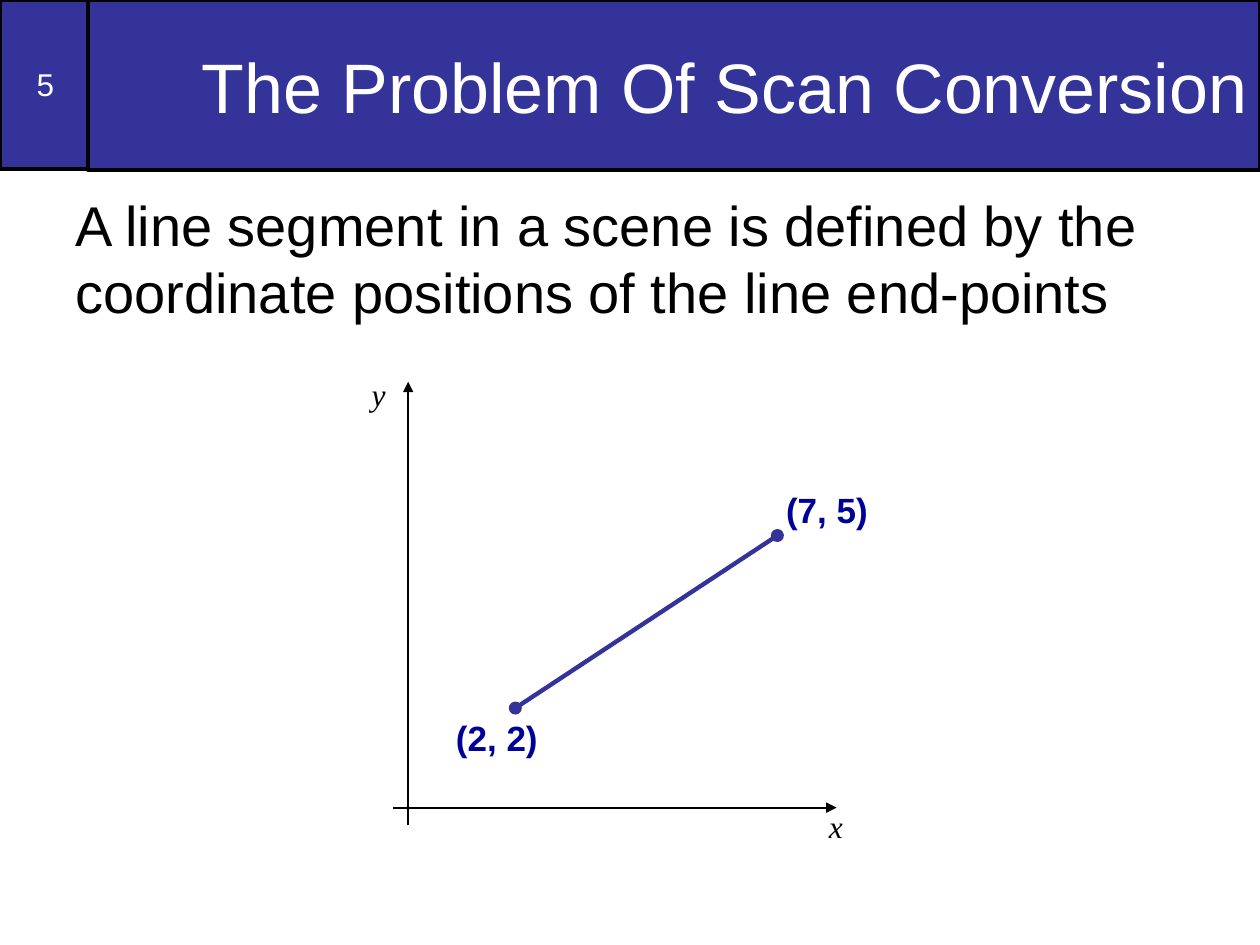
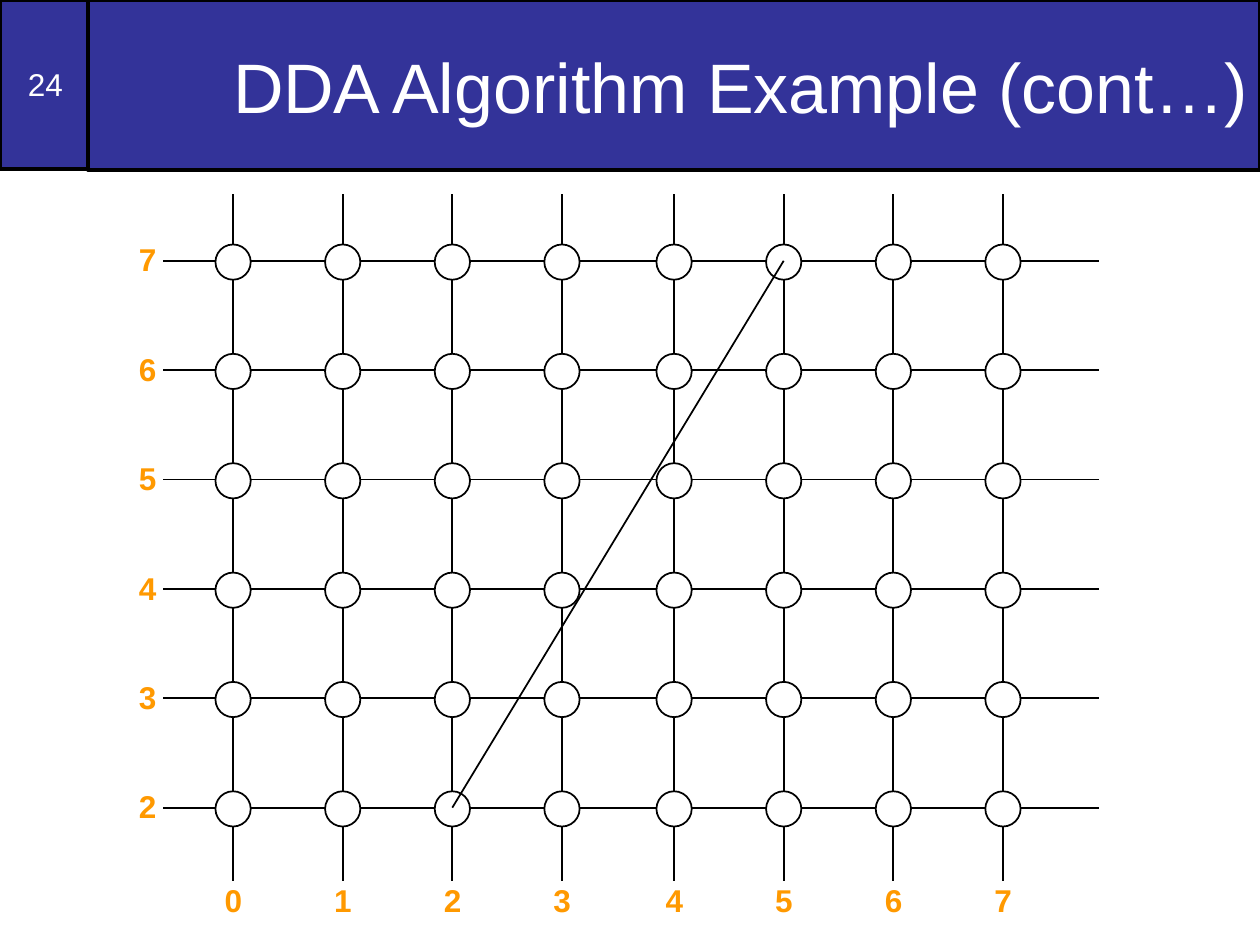
from lxml import etree
from pptx import Presentation
from pptx.dml.color import RGBColor
from pptx.enum.shapes import MSO_CONNECTOR, MSO_SHAPE
from pptx.enum.text import MSO_ANCHOR, MSO_AUTO_SIZE, PP_ALIGN
from pptx.oxml.ns import qn
from pptx.util import Inches, Pt

RECTANGLE = MSO_SHAPE.RECTANGLE
OVAL = MSO_SHAPE.OVAL
STRAIGHT = MSO_CONNECTOR.STRAIGHT
LEFT, CENTER, RIGHT = PP_ALIGN.LEFT, PP_ALIGN.CENTER, PP_ALIGN.RIGHT
TOP, MIDDLE = MSO_ANCHOR.TOP, MSO_ANCHOR.MIDDLE
NO_FIT, FIT_SHAPE = MSO_AUTO_SIZE.NONE, MSO_AUTO_SIZE.SHAPE_TO_FIT_TEXT

BLUE = "333399"
NAVY = "000099"
ORANGE = "FF9900"
BLACK = "000000"
WHITE = "FFFFFF"
SANS = "Arial"
SERIF = "Times New Roman"
TITLE_ONLY = 5

COLUMN_COUNT = 8
FIRST_ROW, LAST_ROW = 2, 7
COLUMN_STEP = 0.87
ROW_STEP = (6.41 - 2.07) / (LAST_ROW - FIRST_ROW)
CIRCLE_SIZE = 0.28


def rgb(color):
    return RGBColor.from_string(color)


class Deck:
    def __init__(self):
        self.presentation = Presentation()
        self.presentation.slide_width = Inches(10)
        self.presentation.slide_height = Inches(7.5)
        self.slide = None

    def add_slide(self, number, title_text):
        layout = self.presentation.slide_layouts[TITLE_ONLY]
        self.slide = self.presentation.slides.add_slide(layout)
        title = self.slide.shapes.title
        title.left, title.top = Inches(0.7), Inches(0)
        title.width, title.height = Inches(9.3), Inches(1.35)
        self.paint(title, BLUE, 2)
        self.add_run(title, title_text, 40, WHITE, align=RIGHT, anchor=MIDDLE)
        box = self.shape(RECTANGLE, 0, 0, 0.72, 1.34, BLUE, 2)
        paragraph = self.add_run(box, number, 18, WHITE, align=CENTER, anchor=MIDDLE)
        paragraph.space_before = Pt(11.2)
        title.element.addprevious(box.element)

    def paint(self, shape, fill, line_width):
        shape.fill.solid()
        shape.fill.fore_color.rgb = rgb(fill)
        shape.line.color.rgb = rgb(BLACK)
        shape.line.width = Pt(line_width)

    def add_run(self, shape, text, size, color, font=SANS, bold=False, italic=False,
                align=LEFT, anchor=TOP, wrap=True):
        frame = shape.text_frame
        frame.word_wrap = wrap
        frame.auto_size = NO_FIT if wrap else FIT_SHAPE
        frame.vertical_anchor = anchor
        paragraph = frame.paragraphs[0]
        paragraph.alignment = align
        run = paragraph.add_run()
        run.text = text
        run.font.name = font
        run.font.size = Pt(size)
        run.font.bold = bold
        run.font.italic = italic
        run.font.color.rgb = rgb(color)
        return paragraph

    def shape(self, kind, left, top, width, height, fill, line_width):
        shape = self.slide.shapes.add_shape(
            kind, Inches(left), Inches(top), Inches(width), Inches(height))
        shape.shadow.inherit = False
        self.paint(shape, fill, line_width)
        return shape

    def text(self, left, top, width, height, text, size, color, **style):
        box = self.slide.shapes.add_textbox(
            Inches(left), Inches(top), Inches(width), Inches(height))
        return self.add_run(box, text, size, color, **style)

    def label(self, left, top, width, height, text, size, color, **style):
        return self.text(left, top, width, height, text, size, color, wrap=False, **style)

    def line(self, start, end, color=BLACK, width=1, head=None, tail=None):
        connector = self.slide.shapes.add_connector(
            STRAIGHT, *(Inches(value) for value in (*start, *end)))
        connector.line.color.rgb = rgb(color)
        connector.line.width = Pt(width)
        properties = connector.element.spPr
        outline = properties.find(qn("a:ln"))
        for tag, kind in (("a:headEnd", head), ("a:tailEnd", tail)):
            if kind:
                etree.SubElement(outline, qn(tag)).set("type", kind)
        etree.SubElement(properties, qn("a:effectLst"))


def build_scan_conversion(deck):
    deck.add_slide("5", "The Problem Of Scan Conversion")
    paragraph = deck.text(
        0.5, 1.46, 9, 6.04,
        "A line segment in a scene is defined by the coordinate positions "
        "of the line end-points", 32, BLACK)
    paragraph.space_before = Pt(8)
    deck.line((3.24, 6.55), (3.24, 3.03), tail="triangle")
    deck.line((3.12, 6.41), (6.64, 6.41), tail="triangle")
    for name, left, top in (("x", 6.48, 6.36), ("y", 2.85, 2.93)):
        deck.label(left, top, 0.31, 0.4, name, 18, BLACK, font=SERIF, italic=True)
    deck.line((4.09, 5.62), (6.17, 4.25), BLUE, 2.5, head="oval", tail="oval")
    for point, left, top in (("(2, 2)", 3.52, 5.64), ("(7, 5)", 6.14, 3.83)):
        deck.label(left, top, 0.85, 0.44, point, 20, NAVY, bold=True)


def column_x(column):
    wider_gap = 0.02 if column > 3 else 0
    return 1.85 + COLUMN_STEP * column + wider_gap


def row_y(row):
    return 6.41 - ROW_STEP * (row - FIRST_ROW)


def build_dda_example(deck):
    deck.add_slide("24", "DDA Algorithm Example (cont…)")
    columns = range(COLUMN_COUNT)
    rows = range(FIRST_ROW, LAST_ROW + 1)
    for row in rows:
        deck.line((8.72, row_y(row)), (1.29, row_y(row)))
    for column in columns:
        deck.line((column_x(column), 1.54), (column_x(column), 6.99))
    for row in rows:
        for column in columns:
            deck.shape(OVAL, column_x(column) - CIRCLE_SIZE / 2,
                       row_y(row) + 0.01 - CIRCLE_SIZE / 2,
                       CIRCLE_SIZE, CIRCLE_SIZE, WHITE, 1)
    label_places = [(row, 1, row_y(row) - 0.21) for row in rows]
    label_places += [(column, column_x(column) - 0.17, 6.94) for column in columns]
    for value, left, top in label_places:
        deck.label(left, top, 0.34, 0.4, str(value), 18, ORANGE, bold=True, align=RIGHT)
    deck.line((column_x(2), row_y(2)), (column_x(5), row_y(7)))


def main():
    deck = Deck()
    build_scan_conversion(deck)
    build_dda_example(deck)
    deck.presentation.save("out.pptx")


if __name__ == "__main__":
    main()
